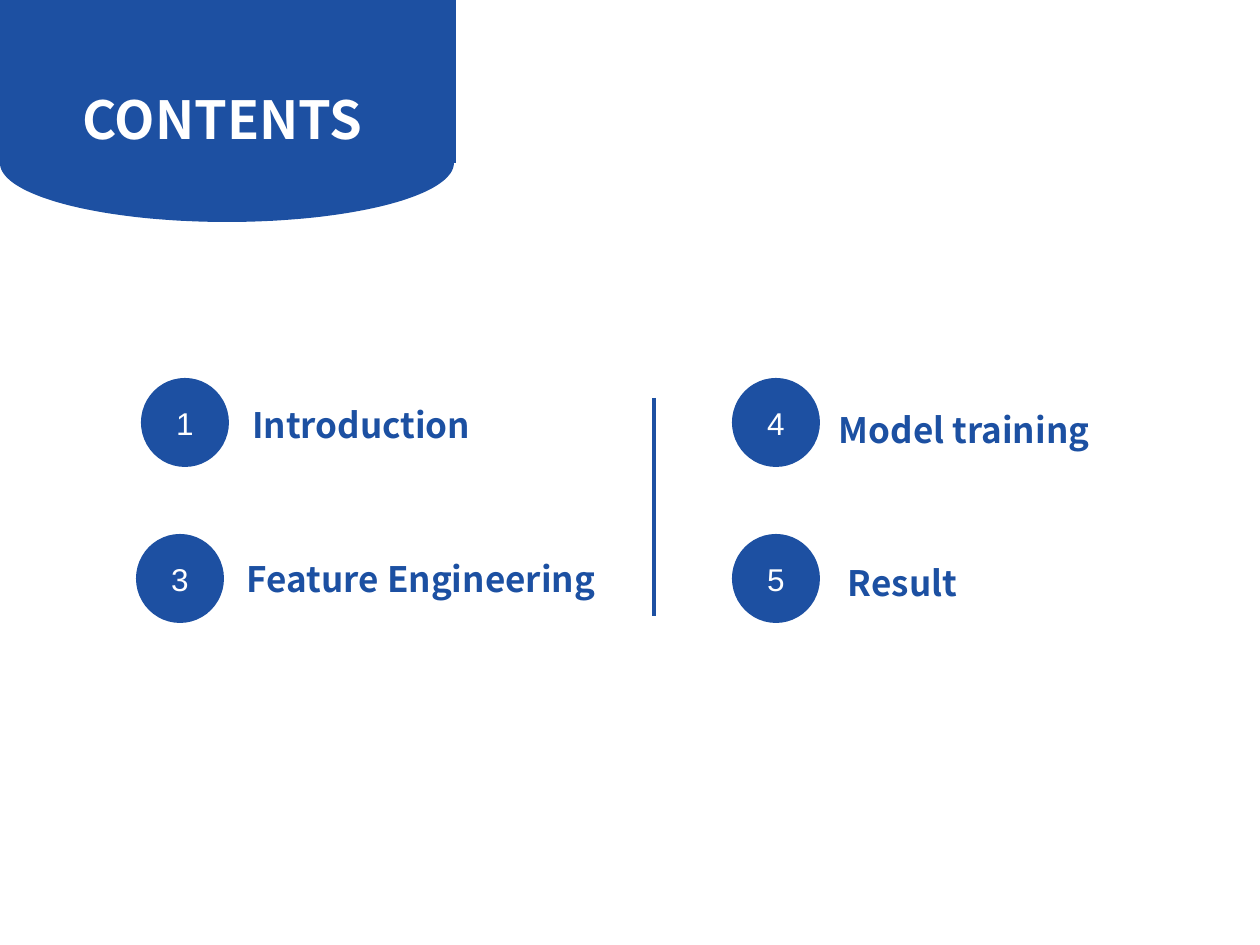
import math
from lxml import etree
from pptx import Presentation
from pptx import util as u
from pptx.dml.color import RGBColor
from pptx.enum import shapes, text
from pptx.oxml.ns import qn

SCALE = 914400 / 126
HUE = {"blue": "1D50A2", "label": "1C50A2", "white": "FFFFFF"}
HEAD, BODY = "Noto Sans CJK SC", "Arial"
DISC_W, DISC_H = 88, 89

# number, disc left and top, label, label left, top and width
ITEMS = [
    ("1", 141, 378, "Introduction", 243, 398, 247),
    ("3", 136, 534, "Feature Engineering", 238, 552, 398),
    ("4", 732, 378, "Model training", 830, 403, 300),
    ("5", 732, 534, "Result", 839, 556, 258),
]


def px(n):
    return u.Emu(round(n * SCALE))


def rgb(key):
    return RGBColor.from_string(HUE[key])


def fill(shape, key):
    shape.shadow.inherit = False
    shape.fill.solid()
    shape.fill.fore_color.rgb = rgb(key)
    shape.line.fill.background()


def write(shape, words, size, font, key, bold=False, center=False):
    shape.text_frame.text = words
    para = shape.text_frame.paragraphs[0]
    para.alignment = text.PP_ALIGN.CENTER if center else text.PP_ALIGN.LEFT
    face = para.runs[0].font
    face.size, face.name, face.bold = u.Pt(size), font, bold
    face.color.rgb = rgb(key)
    return para


def add_label(slide, words, x, y, w, h, size, key, center=False):
    box = slide.shapes.add_textbox(px(x), px(y), px(w), px(h))
    frame = box.text_frame
    frame.word_wrap = True
    frame.auto_size = text.MSO_AUTO_SIZE.SHAPE_TO_FIT_TEXT
    frame.margin_left = frame.margin_right = px(9)
    frame.margin_top = frame.margin_bottom = px(5)
    return write(box, words, size, HEAD, key, True, center)


def add_disc(slide, num, x, y):
    disc = slide.shapes.add_shape(
        shapes.MSO_SHAPE.OVAL, px(x), px(y), px(DISC_W), px(DISC_H))
    fill(disc, "blue")
    disc.text_frame.vertical_anchor = text.MSO_ANCHOR.MIDDLE
    write(disc, num, 18, BODY, "white", center=True)


def add_banner(slide, width, side, radius, depth):
    # Straight block on top, lower half of an ellipse beneath
    arc = [(px(radius + radius * math.cos(math.radians(a))),
            px(side + depth * math.sin(math.radians(a))))
           for a in range(0, 181, 2)]
    pen = slide.shapes.build_freeform(0, 0, scale=1.0)
    pen.add_line_segments([(px(width), 0), (px(width), px(side))] + arc)
    fill(pen.convert_to_shape(), "blue")


def add_rule(slide, x, top, end):
    rule = slide.shapes.add_connector(
        shapes.MSO_CONNECTOR.STRAIGHT, px(x), px(top), px(x), px(end))
    rule.line.color.rgb = rgb("blue")
    rule.line.width = u.Pt(2.25)
    etree.SubElement(rule._element.spPr, qn("a:effectLst"))


def main():
    deck = Presentation()
    deck.slide_width, deck.slide_height = px(1260), px(945)
    slide = deck.slides.add_slide(deck.slide_layouts[6])

    # Heading
    add_banner(slide, 456, 163, 227, 59)
    title = add_label(slide, "CONTENTS ", 11, 69, 435, 79, 30, "white", True)
    title.line_spacing = 1.2

    # Numbered topics
    for num, x, y, words, left, top, width in ITEMS:
        add_disc(slide, num, x, y)
        add_label(slide, words, left, top, width, 52, 20, "label")

    # Divider between the columns
    add_rule(slide, 654, 398, 616)

    deck.save("out.pptx")


if __name__ == "__main__":
    main()
